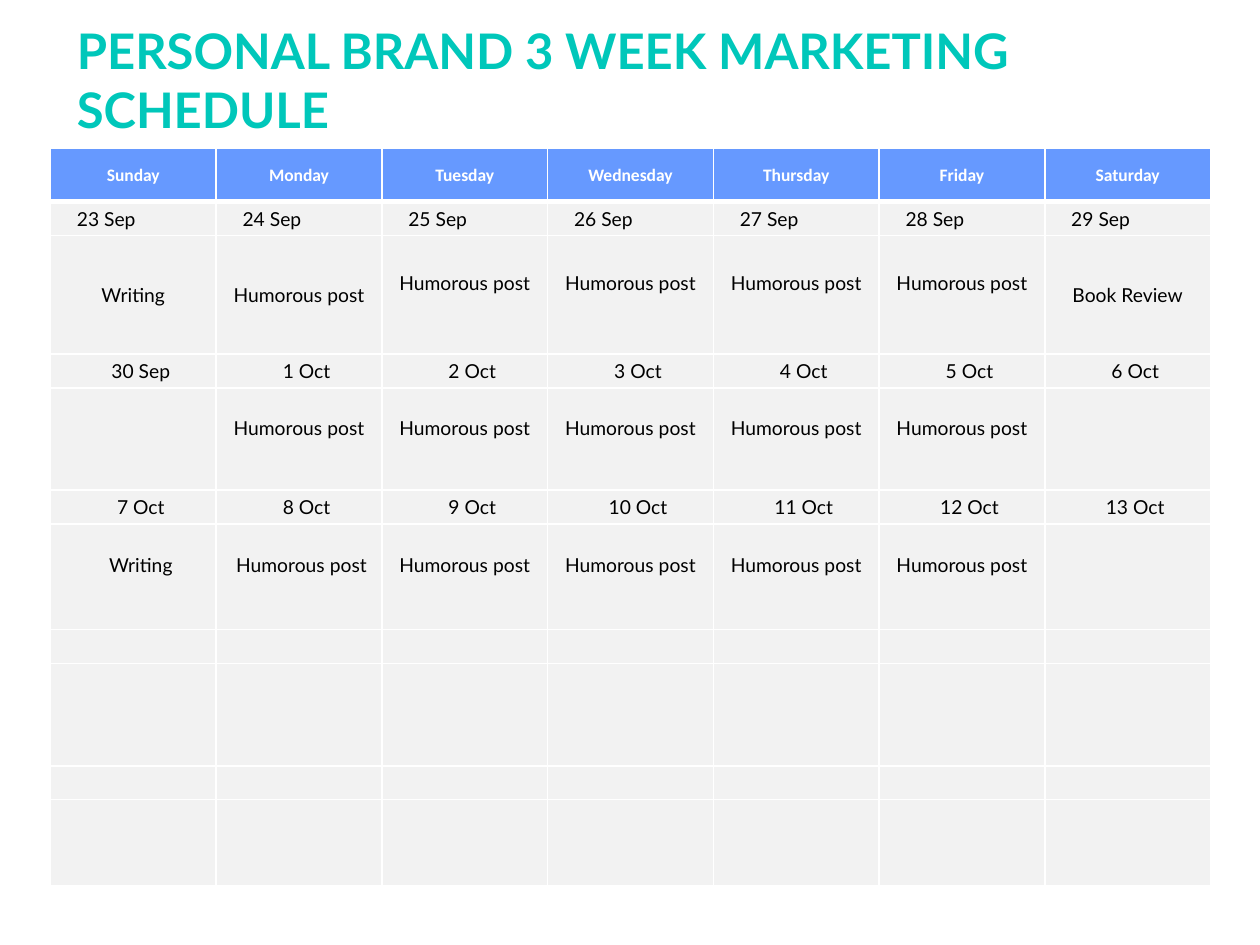
from dataclasses import dataclass

import pptx
import pptx.dml.color
import pptx.enum.text
import pptx.oxml.ns
import pptx.util
from lxml import etree

Inches = pptx.util.Inches
Pt = pptx.util.Pt
Align = pptx.enum.text.PP_ALIGN
Anchor = pptx.enum.text.MSO_ANCHOR
qn = pptx.oxml.ns.qn

WHITE, BLACK, TEAL = "FFFFFF", "000000", "00C7BA"
BLUE, GREY = "6699FF", "F2F2F2"
HEADER_FONT = {"name": "Calibri", "size": Pt(10), "bold": True}
BODY_FONT = {"name": "Lato", "size": Pt(11), "bold": False}
TITLE_FONT = {"name": "Lato", "size": Pt(28), "bold": True}


@dataclass
class CalendarRow:
    height: float
    labels: list[str]
    first_indent: float = 0
    align: Align = Align.CENTER
    raised: tuple[int, ...] = ()  # columns whose text sits above the middle


POST = "Humorous post"
DAYS = "Sunday Monday Tuesday Wednesday Thursday Friday Saturday".split()
EMPTY = [""] * len(DAYS)
WORKWEEK = [POST] * 5
RAISE = 0.18

ROWS = [
    CalendarRow(0.42, DAYS),
    CalendarRow(0.27, [f"{day} Sep" for day in range(23, 30)], 0.14, Align.LEFT),
    CalendarRow(0.94, ["Writing", *WORKWEEK, "Book Review"], raised=(2, 3, 4, 5)),
    CalendarRow(0.27, ["30 Sep", *(f"{day} Oct" for day in range(1, 7))], 0.12),
    CalendarRow(0.81, ["", *WORKWEEK, ""], raised=(1, 2, 3, 4, 5)),
    CalendarRow(0.27, [f"{day} Oct" for day in range(7, 14)], 0.12),
    CalendarRow(0.84, ["Writing", *WORKWEEK, ""], raised=(0, 1, 2, 3, 4, 5)),
    CalendarRow(0.27, EMPTY),
    CalendarRow(0.81, EMPTY),
    CalendarRow(0.27, EMPTY),
    CalendarRow(0.68, EMPTY),
]
# Single cells with their own first-line indent, by row and column
CELL_INDENTS = {(6, 0): 0.12, (6, 1): 0.04}


def rgb(color: str) -> pptx.dml.color.RGBColor:
    return pptx.dml.color.RGBColor.from_string(color)


def set_values(target, values: dict) -> None:
    for name, value in values.items():
        setattr(target, name, value)


def set_font(font, values: dict, color: str) -> None:
    set_values(font, values)
    font.color.rgb = rgb(color)


def add_borders(cell, widths: dict[str, int]) -> None:
    properties = cell._tc.get_or_add_tcPr()
    for side, width in widths.items():
        line = etree.SubElement(properties, qn(f"a:ln{side}"), w=str(Pt(width)))
        fill = etree.SubElement(line, qn("a:solidFill"))
        etree.SubElement(fill, qn("a:srgbClr"), val=WHITE)


def fill_cell(cell, row: CalendarRow, row_index: int, column: int) -> None:
    is_header = row_index == 0
    add_borders(cell, {"L": 1, "R": 1, "T": 3 if row_index == 1 else 1,
                       "B": 3 if is_header else 1})
    cell.fill.solid()
    cell.fill.fore_color.rgb = rgb(BLUE if is_header else GREY)
    set_values(cell, {
        "vertical_anchor": Anchor.MIDDLE,
        "margin_left": Inches(0.07),
        "margin_right": Inches(0.07),
        "margin_top": 0,
        "margin_bottom": Inches(RAISE if column in row.raised else 0),
    })
    paragraph = cell.text_frame.paragraphs[0]
    paragraph.alignment = row.align
    label = row.labels[column]
    if not label:
        # Keep empty cells from stretching the narrow rows
        etree.SubElement(paragraph._p, qn("a:endParaRPr"), sz="1100")
        return
    indent = CELL_INDENTS.get((row_index, column), row.first_indent)
    if indent:
        paragraph._p.get_or_add_pPr().set("indent", str(Inches(indent)))
    run = paragraph.add_run()
    run.text = label
    set_font(run.font, HEADER_FONT if is_header else BODY_FONT,
             WHITE if is_header else BLACK)


def add_title(slide, text: str) -> None:
    title = slide.shapes.title
    set_values(title, {"left": Inches(0.51), "top": Inches(0.11),
                       "width": Inches(8.83), "height": Inches(1.04)})
    frame = title.text_frame
    set_values(frame, {"word_wrap": True, "vertical_anchor": Anchor.MIDDLE,
                       "auto_size": pptx.enum.text.MSO_AUTO_SIZE.NONE})
    paragraph = frame.paragraphs[0]
    paragraph.alignment = Align.LEFT
    run = paragraph.add_run()
    run.text = text
    set_font(run.font, TITLE_FONT, TEAL)


def add_calendar(slide) -> None:
    width = Inches(9.21)
    table = slide.shapes.add_table(
        len(ROWS), len(DAYS), Inches(0.4), Inches(1.18), width,
        Inches(sum(row.height for row in ROWS))).table
    table.horz_banding = False
    for column in table.columns:
        column.width = width // len(DAYS)
    for row_index, row in enumerate(ROWS):
        table.rows[row_index].height = Inches(row.height)
        for column in range(len(DAYS)):
            fill_cell(table.cell(row_index, column), row, row_index, column)


def main() -> None:
    presentation = pptx.Presentation()
    presentation.slide_width = Inches(10)
    presentation.slide_height = Inches(7.5)
    slide = presentation.slides.add_slide(presentation.slide_layouts[5])
    add_title(slide, "PERSONAL BRAND 3 WEEK MARKETING SCHEDULE")
    add_calendar(slide)
    presentation.save("out.pptx")


if __name__ == "__main__":
    main()
